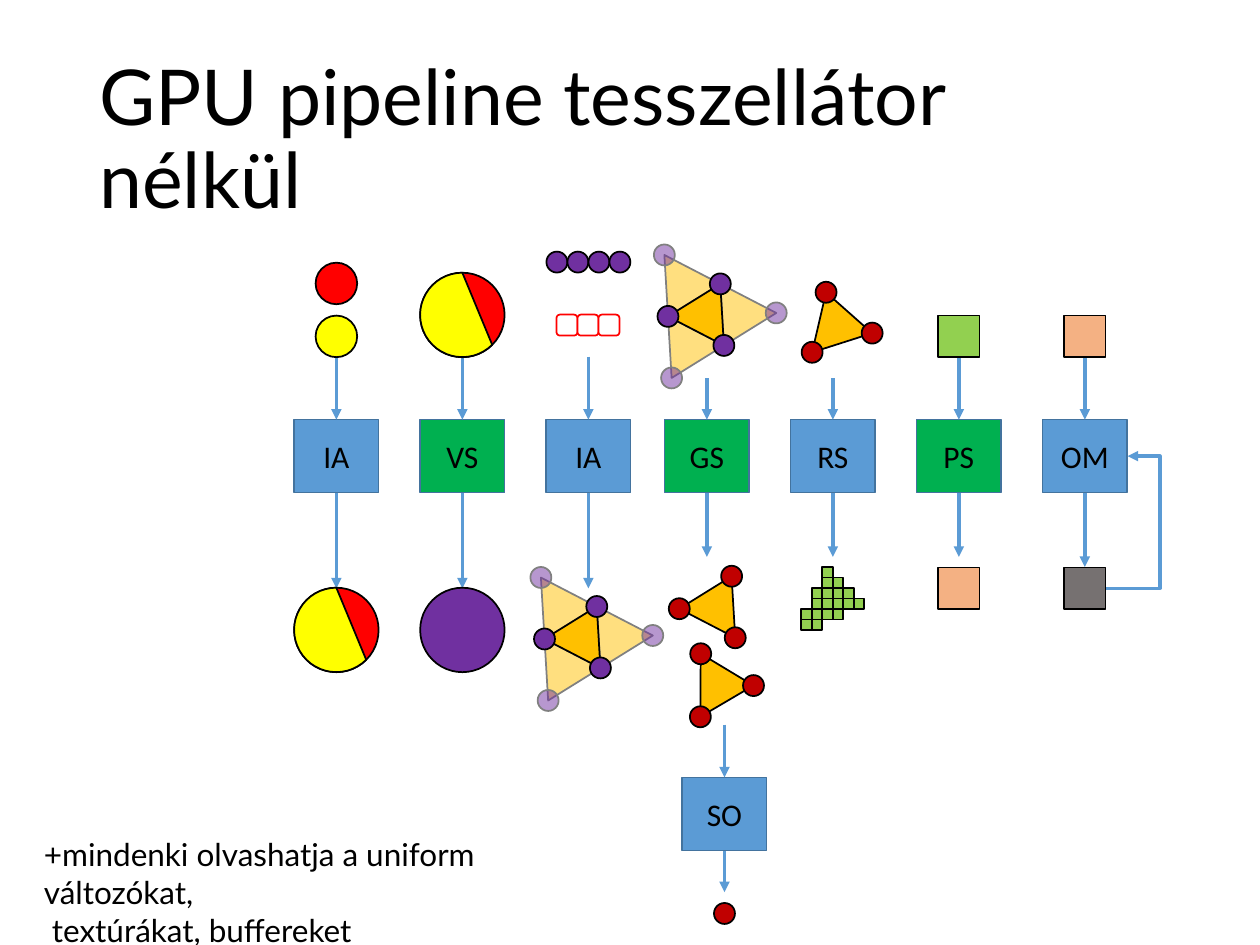
"""Build a slide showing the GPU pipeline stages without the tessellator."""
from math import cos, radians, sin

from pptx import Presentation
from pptx.dml.color import RGBColor
from pptx.enum.shapes import MSO_CONNECTOR as Link, MSO_SHAPE as Geo
from pptx.enum.text import MSO_ANCHOR as Anchor, PP_ALIGN as Align
from pptx.oxml.ns import qn
from pptx.oxml.xmlchemy import OxmlElement
from pptx.util import Inches, Pt

BLACK = RGBColor(0x00, 0x00, 0x00)
WHITE = RGBColor(0xFF, 0xFF, 0xFF)
GRAY = RGBColor(0x80, 0x80, 0x80)
DARK_GRAY = RGBColor(0x76, 0x71, 0x71)
BLUE = RGBColor(0x5B, 0x9B, 0xD5)
DARK_BLUE = RGBColor(0x43, 0x73, 0x9E)
GREEN = RGBColor(0x00, 0xB0, 0x50)
LIME = RGBColor(0x92, 0xD0, 0x50)
RED = RGBColor(0xFF, 0x00, 0x00)
DARK_RED = RGBColor(0xC0, 0x00, 0x00)
YELLOW = RGBColor(0xFF, 0xFF, 0x00)
GOLD = RGBColor(0xFF, 0xC0, 0x00)
PURPLE = RGBColor(0x70, 0x30, 0xA0)
PEACH = RGBColor(0xF4, 0xB1, 0x83)

STAGE_W, STAGE_H, STAGE_Y = 0.67, 0.58, 3.62
DISC, TILE = 0.67, 0.33
NODE, PIXEL = 1 / 6, 1 / 12
TRI_W, TRI_H = 0.5, 0.42
CORNERS = [(0, -TRI_H / 2), (-TRI_W / 2, TRI_H / 2), (TRI_W / 2, TRI_H / 2)]
NEIGHBOURS = [(TRI_W / 2, 0), (-TRI_W / 2, 0), (0, TRI_H)]
OUTER_CORNERS = [(TRI_W, -TRI_H / 2), (-TRI_W, -TRI_H / 2), (0, 1.5 * TRI_H)]

STAGES = [
    ("IA", BLUE, 2.67, 2.83, 4.67),
    ("VS", GREEN, 3.67, 2.83, 4.67),
    ("IA", BLUE, 4.67, 2.83, 4.67),
    ("GS", GREEN, 5.61, 3, 4.42),
    ("RS", BLUE, 6.61, 3, 4.42),
    ("PS", GREEN, 7.61, 2.83, 4.42),
    ("OM", BLUE, 8.61, 2.83, 4.5),
]
RASTER = ["..#", "..##", ".####", ".#####", "####", "##"]


def write_text(frame, lines, size=18, font="Lato", align=Align.LEFT,
               anchor=Anchor.TOP, spacing=None):
    frame.word_wrap = True
    frame.vertical_anchor = anchor
    for index, line in enumerate(lines):
        paragraph = frame.add_paragraph() if index else frame.paragraphs[0]
        paragraph.alignment = align
        paragraph.line_spacing = spacing
        run = paragraph.add_run()
        run.text = line
        run.font.size = Pt(size)
        run.font.name = font
        run.font.color.rgb = BLACK


def add_text(slide, left, top, width, height, lines, **text_format):
    box = slide.shapes.add_textbox(*map(Inches, (left, top, width, height)))
    write_text(box.text_frame, lines, **text_format)


def add_solid(slide, geometry, center, width, height, fill,
              line=BLACK, angle=0, faded=False):
    x, y = center
    solid = slide.shapes.add_shape(
        geometry, Inches(x - width / 2), Inches(y - height / 2),
        Inches(width), Inches(height))
    solid.shadow.inherit = False
    solid.rotation = angle
    solid.fill.solid()
    solid.fill.fore_color.rgb = fill
    solid.line.color.rgb = GRAY if faded else line
    solid.line.width = Pt(1)
    if faded:
        alpha = OxmlElement("a:alpha")
        alpha.set("val", "50000")
        solid._element.spPr.find(qn("a:solidFill"))[0].append(alpha)
    return solid


def add_disc(slide, center, size, fill, faded=False):
    add_solid(slide, Geo.OVAL, center, size, size, fill, faded=faded)


def add_tile(slide, center, size, fill):
    add_solid(slide, Geo.RECTANGLE, center, size, size, fill)


def add_mixed_disc(slide, center):
    add_disc(slide, center, DISC, RED)
    add_solid(slide, Geo.CHORD, center, DISC, DISC, YELLOW)


def add_stage(slide, label, center, fill):
    stage = add_solid(slide, Geo.RECTANGLE, center, STAGE_W, STAGE_H, fill,
                      line=DARK_BLUE)
    write_text(stage.text_frame, [label], font="Calibri",
               align=Align.CENTER, anchor=Anchor.MIDDLE)


def add_arrow(slide, start, end, bend=None):
    kind = Link.STRAIGHT if bend is None else Link.ELBOW
    arrow = slide.shapes.add_connector(kind, *map(Inches, (*start, *end)))
    arrow.line.color.rgb = BLUE
    arrow.line.width = Pt(2)
    head = OxmlElement("a:tailEnd")
    head.set("type", "triangle")
    arrow.line._get_or_add_ln().append(head)
    properties = arrow._element.spPr
    properties.append(OxmlElement("a:effectLst"))
    if bend is not None:
        guide = OxmlElement("a:gd")
        guide.set("name", "adj1")
        guide.set("fmla", f"val {int(bend * 100000)}")
        properties.find(qn("a:prstGeom")).find(qn("a:avLst")).append(guide)


def turn(center, offset, angle):
    (x, y), (dx, dy), a = center, offset, radians(angle)
    return x + dx * cos(a) - dy * sin(a), y + dx * sin(a) + dy * cos(a)


def add_triangle(slide, center, angle, node_fill):
    add_solid(slide, Geo.ISOSCELES_TRIANGLE, center, TRI_W, TRI_H, GOLD,
              angle=angle)
    for corner in CORNERS:
        add_disc(slide, turn(center, corner, angle), NODE, node_fill)


def add_adjacency_patch(slide, center, angle=27.4):
    for offset in NEIGHBOURS:
        add_solid(slide, Geo.ISOSCELES_TRIANGLE, turn(center, offset, angle),
                  TRI_W, TRI_H, GOLD, angle=angle + 180, faded=True)
    add_triangle(slide, center, angle, PURPLE)
    for corner in OUTER_CORNERS:
        add_disc(slide, turn(center, corner, angle), NODE, PURPLE, faded=True)


def add_raster(slide, x, y):
    for row, cells in enumerate(RASTER):
        for column, cell in enumerate(cells):
            if cell == "#":
                center = x + (column + 0.5) * PIXEL, y + (row + 0.5) * PIXEL
                add_tile(slide, center, PIXEL, LIME)


def main():
    deck = Presentation()
    deck.slide_width, deck.slide_height = Inches(10), Inches(7.5)
    slide = deck.slides.add_slide(deck.slide_layouts[6])
    add_text(slide, 0.69, 0.4, 8.62, 1.45, ["GPU pipeline tesszellátor nélkül"],
             size=44, anchor=Anchor.MIDDLE, spacing=0.9)

    for label, fill, x, input_y, output_y in STAGES:
        add_stage(slide, label, (x, STAGE_Y), fill)
        add_arrow(slide, (x, input_y), (x, STAGE_Y - STAGE_H / 2))
        add_arrow(slide, (x, STAGE_Y + STAGE_H / 2), (x, output_y))

    add_disc(slide, (2.67, 2.25), TILE, RED)
    add_disc(slide, (2.67, 2.67), TILE, YELLOW)
    add_mixed_disc(slide, (2.67, 5))
    add_mixed_disc(slide, (3.67, 2.5))
    add_disc(slide, (3.67, 5), DISC, PURPLE)

    for vertex in range(4):
        add_disc(slide, (4.42 + vertex * NODE, 2.08), NODE, PURPLE)
    for index in range(3):
        add_solid(slide, Geo.ROUNDED_RECTANGLE, (4.5 + index * NODE, 2.58),
                  NODE, NODE, WHITE, line=RED)

    add_adjacency_patch(slide, (5.62, 2.44))
    add_adjacency_patch(slide, (4.64, 5))
    for center, angle in [((5.71, 4.76), 27.4), ((6.62, 2.52), 342.3),
                          ((5.77, 5.44), 90.3)]:
        add_triangle(slide, center, angle, DARK_RED)

    add_raster(slide, 6.36, 4.5)
    for center, fill in [((7.61, 2.67), LIME), ((7.61, 4.67), PEACH),
                         ((8.61, 2.67), PEACH), ((8.61, 4.67), DARK_GRAY)]:
        add_tile(slide, center, TILE, fill)
    add_arrow(slide, (8.78, 4.67), (8.95, STAGE_Y), bend=2.5)

    add_stage(slide, "SO", (5.75, 6.46), BLUE)
    add_arrow(slide, (5.75, 5.75), (5.75, 6.17))
    add_arrow(slide, (5.75, 6.75), (5.75, 7.08))
    add_disc(slide, (5.75, 7.25), NODE, DARK_RED)

    add_text(slide, 0.25, 6.58, 4.39, 0.71,
             ["+mindenki olvashatja a uniform változókat,",
              " textúrákat, buffereket"])
    deck.save("out.pptx")


if __name__ == "__main__":
    main()
